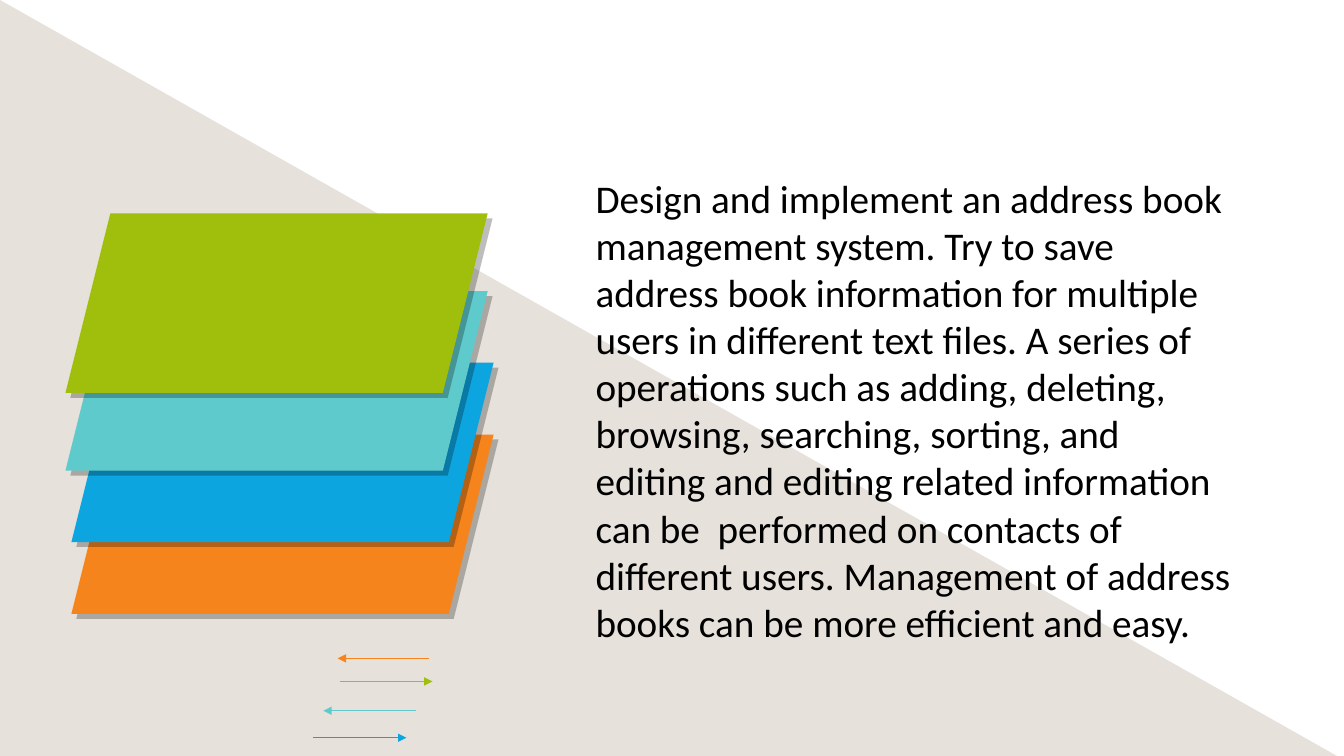
from lxml import etree
from pptx import Presentation
from pptx.dml.color import RGBColor
from pptx.enum.shapes import MSO_CONNECTOR, MSO_SHAPE
from pptx.enum.text import MSO_AUTO_SIZE
from pptx.oxml.ns import qn
from pptx.util import Cm, Pt

TRIANGLE = MSO_SHAPE.ISOSCELES_TRIANGLE
PARALLELOGRAM = MSO_SHAPE.PARALLELOGRAM
STRAIGHT = MSO_CONNECTOR.STRAIGHT
GROW = MSO_AUTO_SIZE.SHAPE_TO_FIT_TEXT

COLORS = {
    "white": "FFFFFF", "black": "000000", "sand": "826C4A", "orange": "F5841C",
    "blue": "0DA5DF", "teal": "5FCACB", "green": "A0BF0D",
}
LAYERS = [("orange", 1.8, 10.95), ("blue", 1.8, 9.14), ("teal", 1.65, 7.34), ("green", 1.65, 5.38)]
ARROWS = [
    ("green", 8.56, 10.9, 17.17),
    ("blue", 7.9, 10.24, 18.59),
    ("teal", 10.49, 8.15, 17.91),
    ("orange", 10.82, 8.51, 16.59),
]
TASK = (
    "Design and implement an address book management system. Try to save address book "
    "information for multiple users in different text files. A series of operations such as "
    "adding, deleting, browsing, searching, sorting, and editing and editing related information "
    "can be  performed on contacts of different users. Management of address books can be more "
    "efficient and easy."
)


class SlideBuilder:
    """Draws the elements of one slide in a shared style."""

    def __init__(self, slide, font="Calibri", size=28):
        self.slide, self.font, self.size = slide, font, size

    def color(self, name):
        return RGBColor.from_string(COLORS[name])

    def background(self, name):
        fill = self.slide.background.fill
        fill.solid()
        fill.fore_color.rgb = self.color(name)

    def block(self, preset, name, left, top, width, height):
        block = self.slide.shapes.add_shape(preset, Cm(left), Cm(top), Cm(width), Cm(height))
        block.shadow.inherit = False
        block.fill.solid()
        block.fill.fore_color.rgb = self.color(name)
        block.line.fill.background()
        return block

    def set_alpha(self, color_element, percent):
        etree.SubElement(color_element, qn("a:alpha"), val=str(percent * 1000))

    def wedge(self, name, width, height, opacity):
        wedge = self.block(TRIANGLE, name, 0, 0, width, height)
        wedge.adjustments[0] = 0
        self.set_alpha(wedge._element.spPr.find(".//" + qn("a:srgbClr")), opacity)

    def layer(self, name, left, top):
        layer = self.block(PARALLELOGRAM, name, left, top, 10.64, 4.52)
        effects = layer._element.spPr.find(qn("a:effectLst"))
        shadow = etree.SubElement(
            effects, qn("a:outerShdw"), blurRad="0", dist=str(Pt(5)),
            dir=str(45 * 60000), algn="tl", rotWithShape="0",
        )
        shade = etree.SubElement(shadow, qn("a:srgbClr"), val=COLORS["black"])
        self.set_alpha(shade, 25)

    def arrow(self, name, start, end, y):
        arrow = self.slide.shapes.add_connector(STRAIGHT, Cm(start), Cm(y), Cm(end), Cm(y))
        arrow.line.color.rgb = self.color(name)
        arrow.line.width = Pt(1)
        etree.SubElement(arrow.line._get_or_add_ln(), qn("a:tailEnd"), type="triangle")
        etree.SubElement(arrow._element.spPr, qn("a:effectLst"))

    def text(self, words, name, left, top, width, height):
        box = self.slide.shapes.add_textbox(Cm(left), Cm(top), Cm(width), Cm(height))
        frame = box.text_frame
        frame.word_wrap = True
        frame.auto_size = GROW
        frame.text = words
        font = frame.paragraphs[0].runs[0].font
        font.name, font.size = self.font, Pt(self.size)
        font.color.rgb = self.color(name)


def main():
    deck = Presentation()
    deck.slide_width, deck.slide_height = Cm(33.87), Cm(19.05)
    builder = SlideBuilder(deck.slides.add_slide(deck.slide_layouts[6]))
    builder.background("white")
    builder.wedge("sand", 33.87, 19.15, opacity=20)
    for layer in LAYERS:
        builder.layer(*layer)
    for arrow in ARROWS:
        builder.arrow(*arrow)
    builder.text(TASK, "black", 14.76, 4.27, 16.59, 12.22)
    deck.save("out.pptx")


if __name__ == "__main__":
    main()
